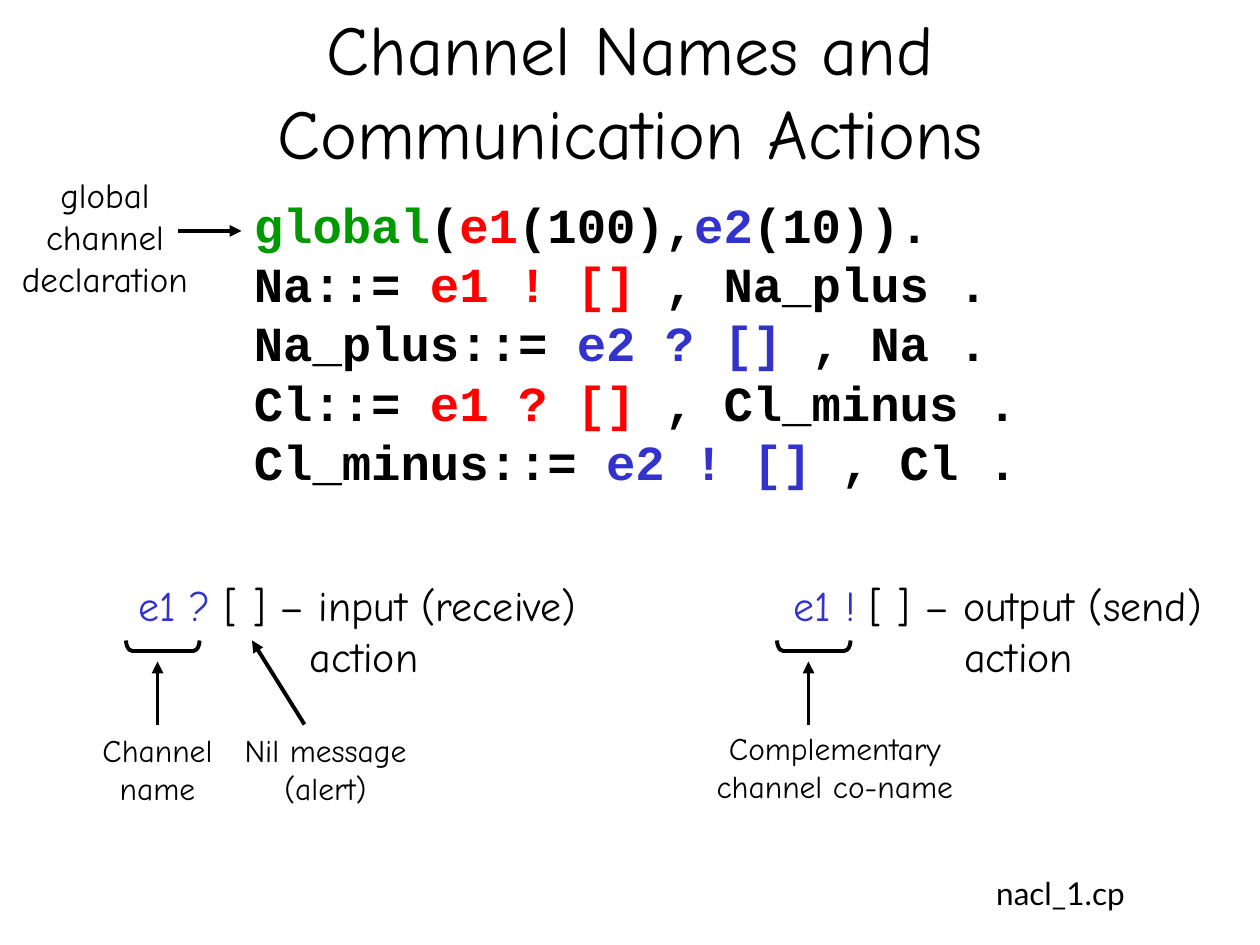
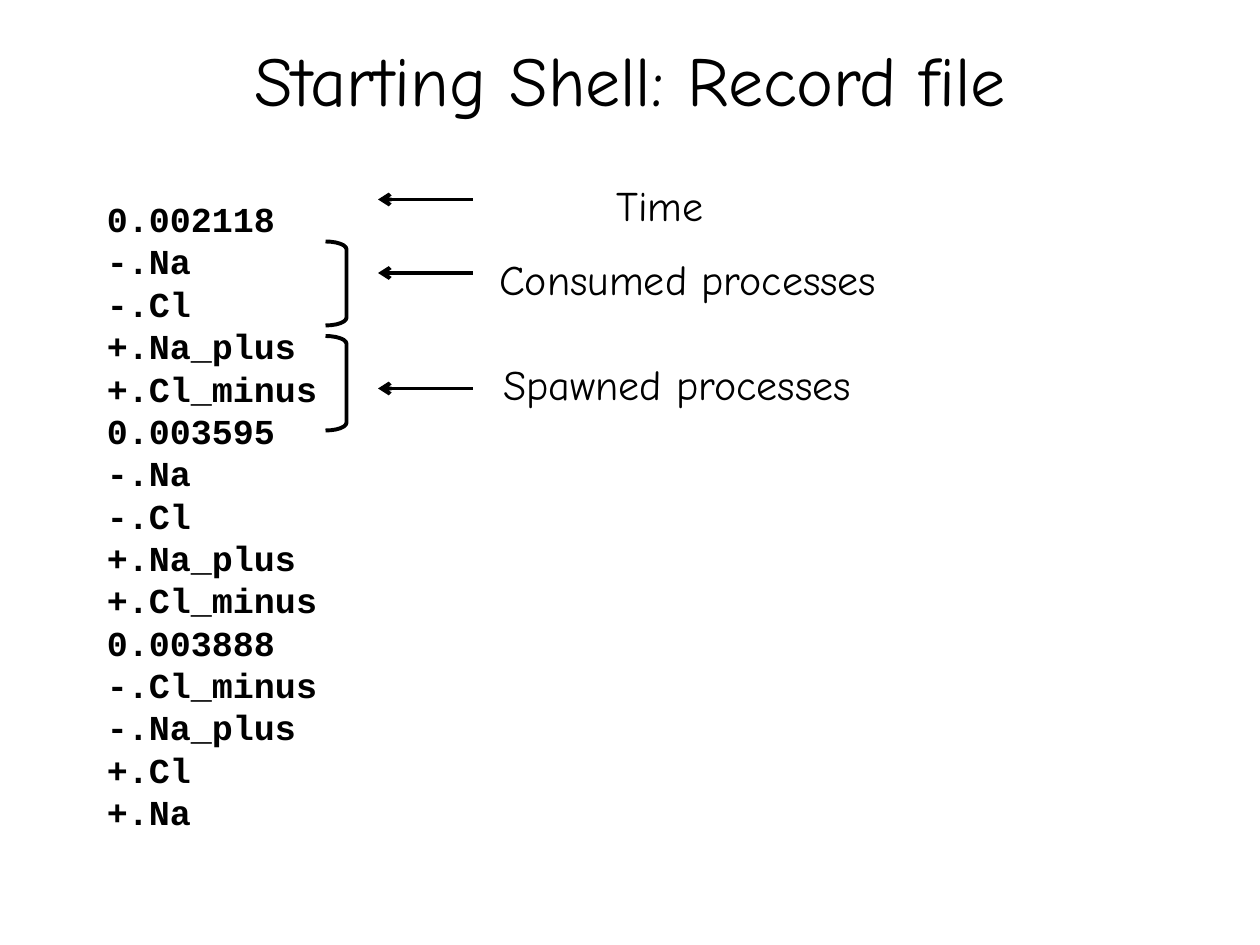
import pptx
import pptx.util
import pptx.dml.color
import pptx.enum.shapes
import pptx.enum.text
import pptx.oxml.ns
import lxml.etree

Pt = pptx.util.Pt
ALIGN = pptx.enum.text.PP_ALIGN
ANCHOR = pptx.enum.text.MSO_ANCHOR
COLOURS = {"ink": "000000", "green": "009900", "red": "FF0000", "blue": "3333CC"}
HAND, CODE, PLAIN = "Comic Neue", "Courier New", "Lato"


class SlideBuilder:
    line_width = 2.25
    title_size = 40

    def __init__(self, deck):
        self.deck = deck
        self.slide = None

    def colour(self, name):
        return pptx.dml.color.RGBColor.from_string(COLOURS[name])

    def add_spans(self, paragraph, spans, size, font, bold=False):
        for text, colour in spans:
            span = paragraph.add_run()
            span.text = text
            span.font.size = Pt(size)
            span.font.name = font
            span.font.bold = bold
            span.font.color.rgb = self.colour(colour)

    def frame(self, box, anchor, wrap=True):
        frame = box.text_frame
        frame.auto_size = pptx.enum.text.MSO_AUTO_SIZE.NONE
        frame.word_wrap = wrap
        frame.vertical_anchor = anchor
        return frame

    def start(self, title, top):
        self.slide = self.deck.slides.add_slide(self.deck.slide_layouts[5])
        box = self.slide.shapes.title
        box.left, box.top, box.width, box.height = map(Pt, (54, top, 612, 90))
        paragraph = self.frame(box, ANCHOR.MIDDLE).paragraphs[0]
        paragraph.alignment = ALIGN.CENTER
        self.add_spans(paragraph, [(title, "ink")], self.title_size, HAND)

    def text_box(self, bounds, anchor, wrap=True):
        box = self.slide.shapes.add_textbox(*map(Pt, bounds))
        return self.frame(box, anchor, wrap)

    def label(self, text, bounds, size, font=HAND, anchor=ANCHOR.MIDDLE, wrap=True, before=0):
        paragraph = self.text_box(bounds, anchor, wrap).paragraphs[0]
        paragraph.alignment = ALIGN.CENTER
        paragraph.space_before = Pt(before)
        self.add_spans(paragraph, [(text, "ink")], size, font)

    def code(self, lines, bounds, size):
        frame = self.text_box(bounds, ANCHOR.TOP)
        for number, spans in enumerate(lines):
            paragraph = frame.add_paragraph() if number else frame.paragraphs[0]
            paragraph.line_spacing = 0.8
            paragraph.space_before = Pt(size / 4)
            self.add_spans(paragraph, spans, size, CODE, bold=True)

    def action(self, channel, meaning, left, indent):
        frame = self.text_box((left, 312, 276, 96), ANCHOR.MIDDLE)
        first, second = frame.paragraphs[0], frame.add_paragraph()
        first.space_before = Pt(6)
        second.space_before = Pt(0)
        self.add_spans(first, [(channel, "blue"), (f" [ ] – {meaning}", "ink")], 24, HAND)
        self.add_spans(second, [("action", "ink")], 24, HAND)
        first.alignment = second.alignment = ALIGN.CENTER
        second._p.get_or_add_pPr().set("marL", str(Pt(indent)))

    def bracket(self, left, top, width, height, curve, rotation=0):
        shape = self.slide.shapes.add_shape(
            pptx.enum.shapes.MSO_SHAPE.RIGHT_BRACKET, *map(Pt, (left, top, width, height)))
        shape.adjustments[0] = curve
        shape.rotation = rotation
        shape.shadow.inherit = False
        shape.fill.background()
        shape.line.color.rgb = self.colour("ink")
        shape.line.width = Pt(self.line_width)

    def arrow(self, start, end, head="triangle"):
        arrow = self.slide.shapes.add_connector(
            pptx.enum.shapes.MSO_CONNECTOR.STRAIGHT, *map(Pt, start + end))
        arrow.line.color.rgb = self.colour("ink")
        arrow.line.width = Pt(self.line_width)
        qn = pptx.oxml.ns.qn
        properties = arrow._element.spPr
        lxml.etree.SubElement(properties.find(qn("a:ln")), qn("a:tailEnd"), type=head)
        lxml.etree.SubElement(properties, qn("a:effectLst"))


def rule(name, action, colour, following):
    return [(f"{name}::= ", "ink"), (action, colour), (f" , {following} .", "ink")]


deck = pptx.Presentation()
deck.slide_width, deck.slide_height = Pt(720), Pt(540)
builder = SlideBuilder(deck)

builder.start("Channel Names and Communication Actions", 6)
declaration = [("global", "green"), ("(", "ink"), ("e1", "red"), ("(100),", "ink"),
               ("e2", "blue"), ("(10)).", "ink")]
builder.code([declaration,
              rule("Na", "e1 ! []", "red", "Na_plus"),
              rule("Na_plus", "e2 ? []", "blue", "Na"),
              rule("Cl", "e1 ? []", "red", "Cl_minus"),
              rule("Cl_minus", "e2 ! []", "blue", "Cl")], (138, 114, 468, 186), 28)
builder.label("nacl_1.cp", (510, 492, 192, 36), 18, PLAIN, wrap=False)
builder.action("e1 ?", "input (receive)", 66, 8)
builder.action("e1 !", "output (send)", 432, 24)
for centre in (90, 462):
    builder.bracket(centre, 348, 6, 42, 0.6, rotation=90)
    builder.arrow((centre, 414), (centre, 378))
builder.label("Channel name", (36, 414, 108, 96), 18, anchor=ANCHOR.TOP, before=4.5)
builder.label("Complementary channel co-name", (396, 390, 162, 96), 18, before=4.5)
builder.label("Nil message (alert)", (132, 414, 108, 96), 18, anchor=ANCHOR.TOP, before=4.5)
builder.arrow((174, 414), (144, 366))
builder.label("global channel declaration", (0, 78, 120, 114), 20)
builder.arrow((102, 132), (138, 132))

builder.start("Starting Shell: Record file", 0)
record = ["0.002118", "-.Na", "-.Cl", "+.Na_plus", "+.Cl_minus",
          "0.003595", "-.Na", "-.Cl", "+.Na_plus", "+.Cl_minus",
          "0.003888", "-.Cl_minus", "-.Na_plus", "+.Cl", "+.Na"]
builder.code([[(entry, "ink")] for entry in record], (54, 114, 612, 384), 20)
for text, left, top, arrow_height in (("Time", 296, 96, 114),
                                      ("Consumed processes", 312, 138, 156),
                                      ("Spawned processes", 306, 198, 222)):
    builder.label(text, (left, top, 162, 42), 24, wrap=False)
    builder.arrow((270, arrow_height), (216, arrow_height), "arrow")
for top, height in ((138, 48), (192, 54)):
    builder.bracket(186, top, 12, height, 0.37)

deck.save("out.pptx")
